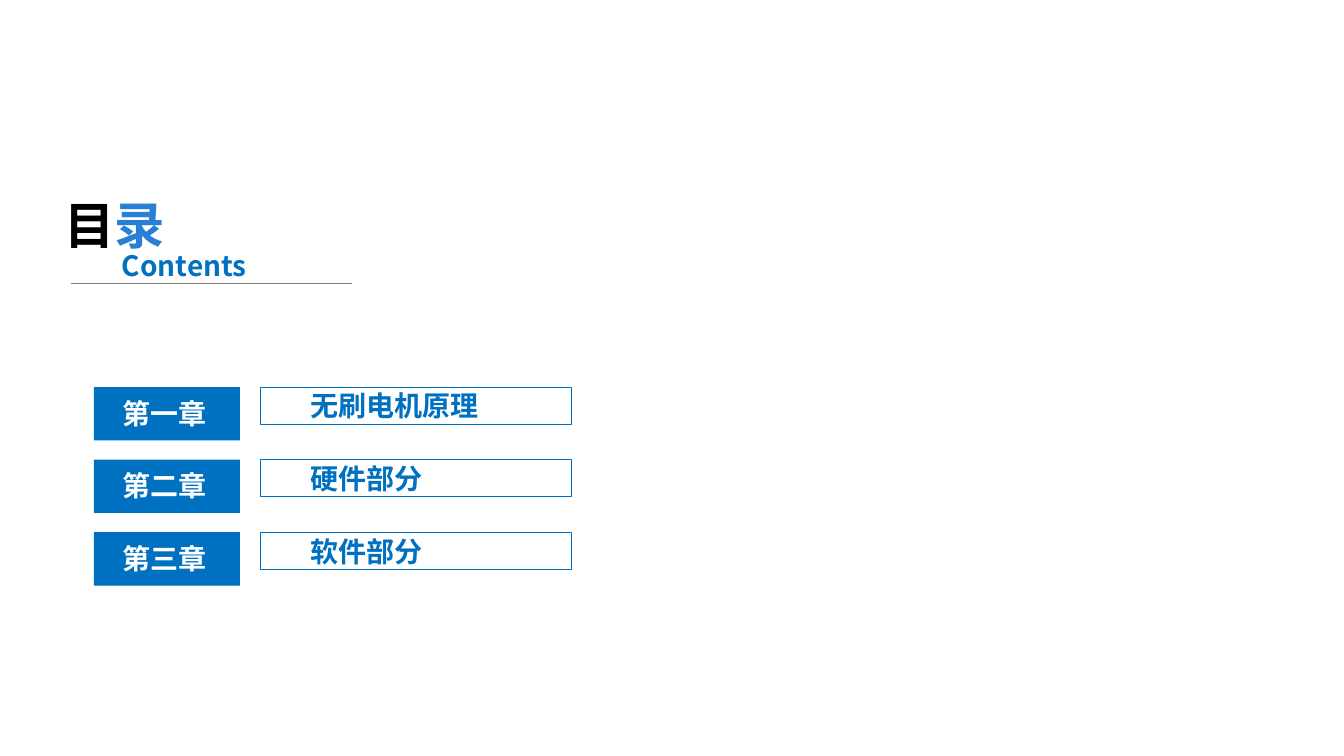
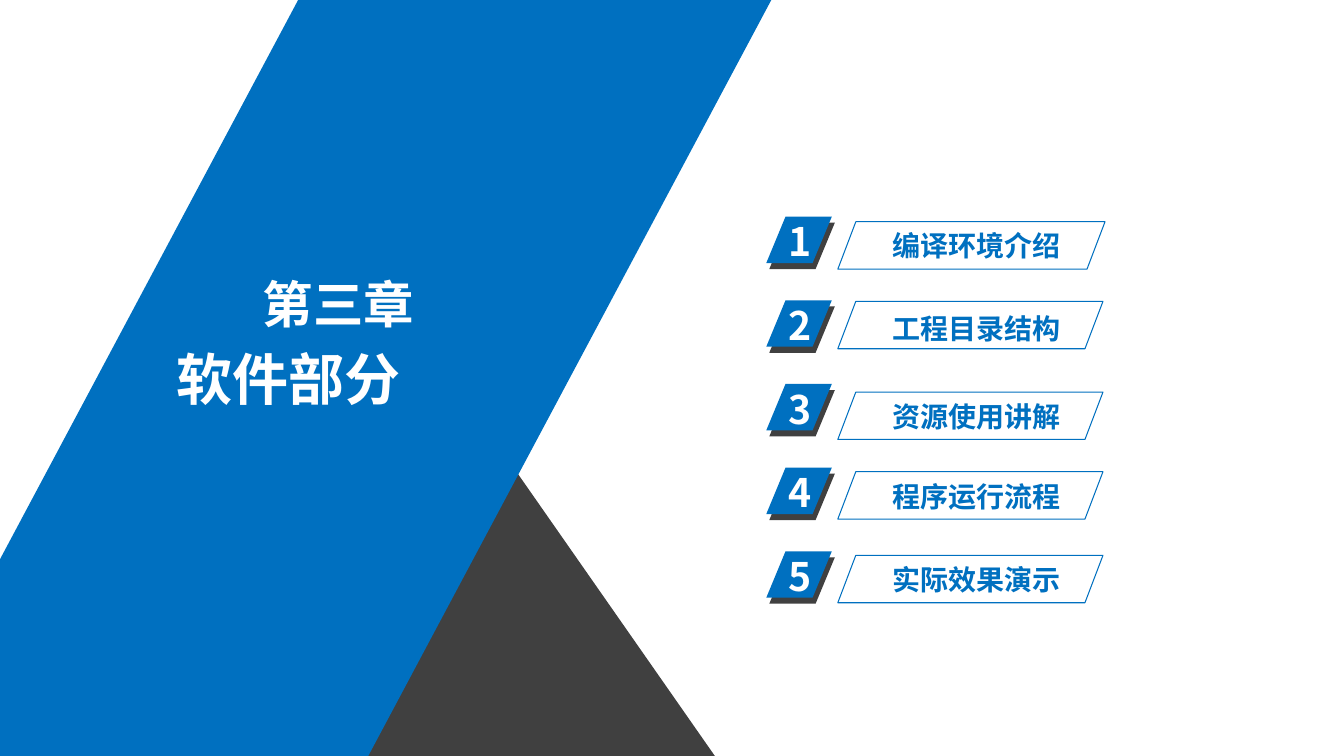
import pptx
import pptx.dml.color
import pptx.enum.shapes
import pptx.enum.text
import pptx.oxml
import pptx.oxml.ns
import pptx.util
from pptx.util import Inches

FONT = "Noto Sans CJK SC"
BLUE = "0070C0"
LIGHT_BLUE = "297FD5"
DARK = "404040"
GREY = "7F7F7F"
WHITE = "FFFFFF"
BLACK = "000000"
SHAPES = pptx.enum.shapes.MSO_SHAPE


def colour(value):
    """Turn a hex string into a colour."""
    return pptx.dml.color.RGBColor.from_string(value)


def write(box, spans, size):
    """Write one bold line made of (text, colour) spans."""
    frame = box.text_frame
    frame.word_wrap = True
    frame.auto_size = pptx.enum.text.MSO_AUTO_SIZE.SHAPE_TO_FIT_TEXT
    frame.vertical_anchor = pptx.enum.text.MSO_ANCHOR.TOP
    para = frame.paragraphs[0]
    para.alignment = pptx.enum.text.PP_ALIGN.LEFT
    para.font.name = FONT
    para.font.size = pptx.util.Pt(size)
    para.font.bold = True
    para.font.color.rgb = colour(spans[0][1])
    for text, shade in spans:
        span = para.add_run()
        span.text = text
        if len(spans) > 1:
            span.font.color.rgb = colour(shade)
    for latin in list(box.element.iter(pptx.oxml.ns.qn("a:latin"))):
        east_asian = pptx.oxml.parse_xml(f'<a:ea {pptx.oxml.ns.nsdecls("a")} typeface="{FONT}"/>')
        latin.addnext(east_asian)


def add_label(page, text, left, top, width, height, size=20, shade=BLUE):
    """Add a text box with one line."""
    box = page.shapes.add_textbox(Inches(left), Inches(top), Inches(width), Inches(height))
    write(box, [(text, shade)], size)


def place_title(page, spans, left, top, width, height, size):
    """Move the title placeholder to its place, in front, and fill it."""
    title = page.shapes.title
    title.left, title.top = Inches(left), Inches(top)
    title.width, title.height = Inches(width), Inches(height)
    write(title, spans, size)
    title.element.getparent().append(title.element)


def paint(shape, fill=None):
    """Fill a shape, or outline it in blue when there is no fill."""
    shape.shadow.inherit = False
    if fill:
        shape.fill.solid()
        shape.fill.fore_color.rgb = colour(fill)
        shape.line.fill.background()
    else:
        shape.fill.background()
        shape.line.color.rgb = colour(BLUE)
        shape.line.width = pptx.util.Pt(0.75)


def add_block(page, kind, left, top, width, height, fill=None, slant=None):
    """Add a preset shape, slanted if asked."""
    block = page.shapes.add_shape(kind, Inches(left), Inches(top), Inches(width), Inches(height))
    if slant is not None:
        block.adjustments[0] = slant
    paint(block, fill)


def add_rule(page, left, right, top):
    """Add a thin horizontal grey line."""
    rule = page.shapes.add_connector(
        pptx.enum.shapes.MSO_CONNECTOR.STRAIGHT, Inches(left), Inches(top), Inches(right), Inches(top))
    rule.line.color.rgb = colour(GREY)
    rule.line.width = pptx.util.Pt(0.5)
    effects = pptx.oxml.parse_xml(f'<a:effectLst {pptx.oxml.ns.nsdecls("a")}/>')
    rule.element.spPr.append(effects)


def add_triangle(page, points, fill):
    """Add a filled outline through the points."""
    corners = [(Inches(x), Inches(y)) for x, y in points]
    builder = page.shapes.build_freeform(*corners[0])
    builder.add_line_segments(corners[1:], close=True)
    paint(builder.convert_to_shape(), fill)


def add_chapter(page, number, name, top):
    """Add one chapter row of the contents."""
    add_block(page, SHAPES.RECTANGLE, 2.58, top, 3.09, 0.37)
    add_label(page, name, 2.98, top - 0.03, 3.03, 0.44)
    add_block(page, SHAPES.RECTANGLE, 0.93, top, 1.45, 0.53, BLUE)
    add_label(page, number, 1.12, top + 0.04, 1.05, 0.44, shade=WHITE)


def add_badge(page, number, top):
    """Add a slanted number badge with its dark backing."""
    add_block(page, SHAPES.PARALLELOGRAM, 7.63, top + 0.06, 0.65, 0.46, DARK, 0.415)
    add_block(page, SHAPES.PARALLELOGRAM, 7.6, top, 0.65, 0.46, BLUE, 0.415)
    add_label(page, str(number), 7.72, top - 0.04, 0.69, 0.57, 28, WHITE)


def add_topic(page, name, frame_top, text_top, width):
    """Add a slanted outline with a topic name."""
    add_block(page, SHAPES.PARALLELOGRAM, 8.31, frame_top, width, 0.47, slant=0.38)
    add_label(page, name, 8.75, text_top, 3.03, 0.44)


def build_contents(page):
    """Build the contents slide."""
    chapters = [("第一章", "无刷电机原理"), ("第二章", "硬件部分"), ("第三章", "软件部分")]
    for index, (number, name) in enumerate(chapters):
        add_chapter(page, number, name, 3.84 + 0.72 * index)
    place_title(page, [("目", BLACK), ("录", LIGHT_BLUE)], 0.54, 1.88, 1.57, 0.71, 36)
    add_rule(page, 0.7, 3.49, 2.81)
    add_label(page, "Contents", 1.11, 2.42, 1.57, 0.44)


def build_section(page):
    """Build the chapter three opening slide."""
    add_triangle(page, [(3.57, 7.5), (5.08, 4.62), (7.09, 7.5)], DARK)
    add_block(page, SHAPES.PARALLELOGRAM, -1.04, 0, 8.69, 7.5, BLUE, 0.533)
    add_label(page, "第三章", 2.51, 2.66, 1.81, 0.71, 36, WHITE)
    place_title(page, [("软件部分", WHITE)], 1.65, 3.37, 3.77, 0.77, 40)
    topics = [
        ("编译环境介绍", 2.2, 2.22, 2.65),
        ("工程目录结构", 2.99, 3.04, 2.63),
        ("资源使用讲解", 3.89, 3.91, 2.63),
        ("程序运行流程", 4.68, 4.71, 2.63),
        ("实际效果演示", 5.51, 5.53, 2.63),
    ]
    for index, topic in enumerate(topics):
        add_badge(page, index + 1, 2.15 + 0.83 * index)
        add_topic(page, *topic)


def main():
    """Build and save the deck."""
    deck = pptx.Presentation()
    deck.slide_width, deck.slide_height = Inches(13.33), Inches(7.5)
    title_only = deck.slide_layouts[5]
    for build in (build_contents, build_section):
        build(deck.slides.add_slide(title_only))
    deck.save("out.pptx")


main()
